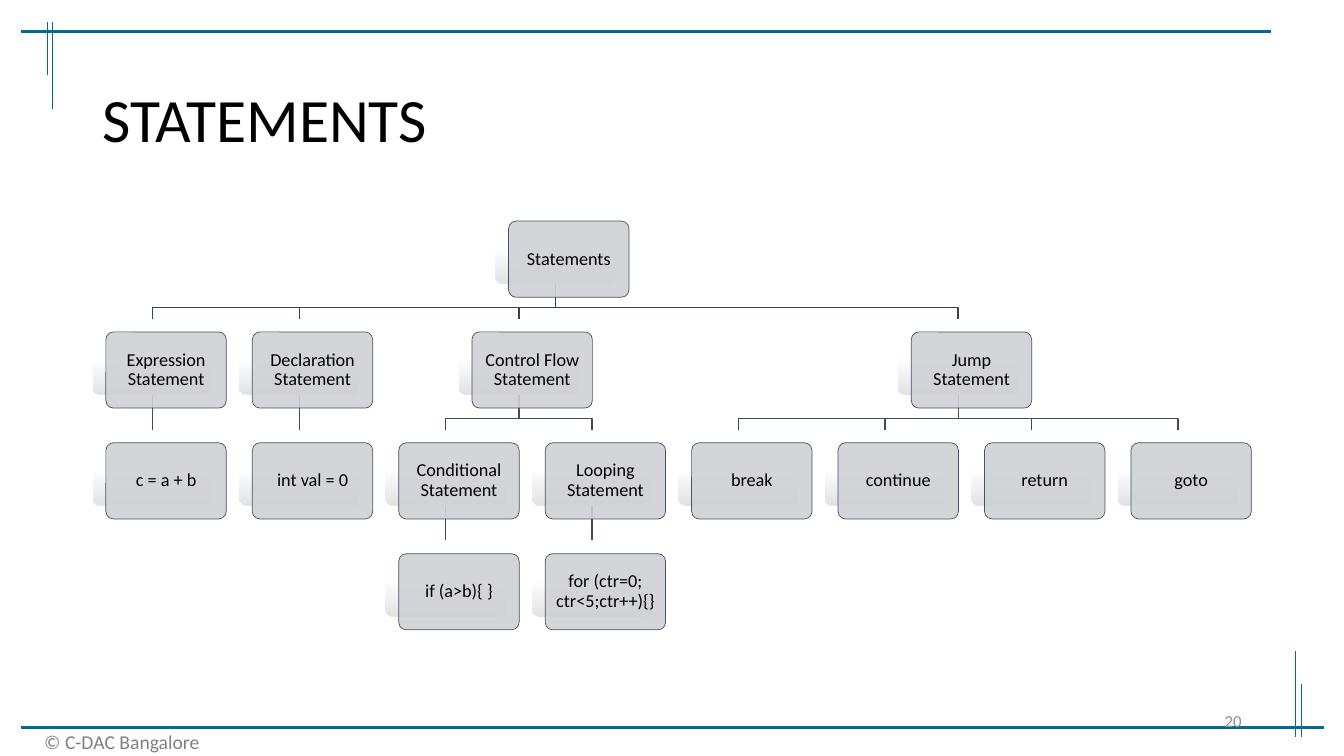
from dataclasses import dataclass, field

from lxml.etree import SubElement
from pptx import Presentation
from pptx.dml.color import RGBColor
from pptx.enum.shapes import MSO_CONNECTOR, MSO_SHAPE
from pptx.enum.text import MSO_ANCHOR, MSO_AUTO_SIZE, PP_ALIGN
from pptx.oxml.ns import qn
from pptx.util import Pt


@dataclass(frozen=True)
class Theme:
    font: str = "Calibri"
    rule: str = "03698F"
    branch: tuple = ("364355", "3E4C60", "3E4C60")  # by depth
    card: str = "CFD1D4"
    card_line: str = "44546A"
    white: str = "FFFFFF"
    shade: str = "E3E3E3"
    text: str = "000000"
    footer: str = "808080"
    number: str = "8C8C8C"
    title_size: int = 44
    footer_size: int = 14
    card_size: int = 13
    number_size: int = 12


@dataclass
class Node:
    label: str
    children: list = field(default_factory=list)
    x: float = 0
    y: float = 0
    depth: int = 0


THEME = Theme()
COLUMNS, COLUMN_PITCH, ROW_PITCH = 8, 104.6, 79.2
CARD_W, CARD_H, CARD_SHIFT = 86, 54.4, 9.5

STATEMENTS = Node("Statements", [
    Node("Expression Statement", [Node("c = a + b")]),
    Node("Declaration Statement", [Node("int val = 0")]),
    Node("Control Flow Statement", [
        Node("Conditional Statement", [Node("if (a>b){ }")]),
        Node("Looping Statement", [Node("for (ctr=0; ctr<5;ctr++){}")]),
    ]),
    Node("Jump Statement", [Node(word) for word in ("break", "continue", "return", "goto")]),
])


def rgb(color):
    return RGBColor.from_string(color)


def write(tf, text, size, color, align):
    tf.text = text
    p = tf.paragraphs[0]
    p.alignment = align
    font = p.runs[0].font
    font.name, font.size, font.color.rgb = THEME.font, Pt(size), rgb(color)
    return p


def add_line(slide, x1, y1, x2, y2, color, width):
    line = slide.shapes.add_connector(MSO_CONNECTOR.STRAIGHT, Pt(x1), Pt(y1), Pt(x2), Pt(y2))
    line.line.color.rgb = rgb(color)
    line.line.width = Pt(width)
    SubElement(line._element.spPr, qn("a:effectLst"))
    return line


def add_frame(slide, width, height):
    """Draw the long rules and the corner strokes along the slide's edges."""
    top, bottom = 22.3, height - 20.2
    add_line(slide, 15, top, width - 52, top, THEME.rule, 2.25)
    add_line(slide, 15, bottom, width - 14.6, bottom, THEME.rule, 2.25)
    for x, length in ((37.4, 62), (33.8, 38)):
        add_line(slide, x, 15.8 + length, x, 15.8, THEME.rule, 0.75)
    for x, length in ((width - 34.8, 61.2), (width - 30.4, 37.4)):
        add_line(slide, x, height - 13.7, x, height - 13.7 - length, THEME.rule, 0.75)


def add_title(slide, text, x, y, w, h):
    title = slide.shapes.title
    title.left, title.top, title.width, title.height = Pt(x), Pt(y), Pt(w), Pt(h)
    tf = title.text_frame
    tf.auto_size = MSO_AUTO_SIZE.NONE
    tf.vertical_anchor = MSO_ANCHOR.MIDDLE
    write(tf, text, THEME.title_size, THEME.text, PP_ALIGN.LEFT).line_spacing = 0.9


def add_label(slide, text, x, y, w, h, size, color, align, wrap):
    tf = slide.shapes.add_textbox(Pt(x), Pt(y), Pt(w), Pt(h)).text_frame
    tf.word_wrap = wrap
    tf.vertical_anchor = MSO_ANCHOR.MIDDLE
    write(tf, text, size, color, align)


def place(node, x, y, column=0, depth=0):
    """Set positions below a node, a parent centred on its children; return the next free column."""
    node.y, node.depth = y + depth * ROW_PITCH, depth
    if not node.children:
        node.x = x + column * COLUMN_PITCH
        return column + 1
    for child in node.children:
        column = place(child, x, y, column, depth + 1)
    node.x = (node.children[0].x + node.children[-1].x) / 2
    return column


def walk(node):
    yield node
    for child in node.children:
        yield from walk(child)


def add_round_rect(slide, x, y):
    sp = slide.shapes.add_shape(MSO_SHAPE.ROUNDED_RECTANGLE, Pt(x), Pt(y), Pt(CARD_W), Pt(CARD_H))
    sp.adjustments[0] = 0.1
    sp.shadow.inherit = False
    return sp


def add_back_card(slide, node):
    sp = add_round_rect(slide, node.x, node.y)
    sp.fill.gradient()
    sp.fill.gradient_angle = 270
    for stop, position, color in zip(sp.fill.gradient_stops, (0.5, 1), (THEME.white, THEME.shade)):
        stop.position = position
        stop.color.rgb = rgb(color)
    sp.line.fill.background()
    return sp


def add_front_card(slide, node):
    sp = add_round_rect(slide, node.x + CARD_SHIFT, node.y + CARD_SHIFT)
    sp.fill.solid()
    sp.fill.fore_color.rgb = rgb(THEME.card)
    color = sp._element.spPr.find(qn("a:solidFill")).find(qn("a:srgbClr"))
    SubElement(color, qn("a:alpha"), val="90000")
    sp.line.color.rgb = rgb(THEME.card_line)
    sp.line.width = Pt(0.5)
    tf = sp.text_frame
    tf.word_wrap = True
    tf.vertical_anchor = MSO_ANCHOR.MIDDLE
    tf.margin_left = tf.margin_right = tf.margin_top = tf.margin_bottom = Pt(3.6)
    write(tf, node.label, THEME.card_size, THEME.text, PP_ALIGN.CENTER).line_spacing = 0.9


def add_branch(slide, parent, child, parent_card, child_card):
    """Join two back cards, straight when they are aligned and with an elbow otherwise."""
    color = THEME.branch[parent.depth]
    x1, x2 = parent.x + CARD_W / 2, child.x + CARD_W / 2
    y1, y2 = parent.y + CARD_H, child.y
    if x1 == x2:
        line = add_line(slide, x1, y1, x2, y2, color, 1)
        line.begin_connect(parent_card, 2)
        line.end_connect(child_card, 0)
        return
    bend = y1 + (y2 - y1) * 0.68
    builder = slide.shapes.build_freeform(Pt(x1), Pt(y1))
    builder.add_line_segments([(Pt(x), Pt(y)) for x, y in ((x1, bend), (x2, bend), (x2, y2))],
                              close=False)
    elbow = builder.convert_to_shape()
    elbow.shadow.inherit = False
    elbow.fill.background()
    elbow.line.color.rgb = rgb(color)
    elbow.line.width = Pt(1)


def add_tree(slide, root, x, y, w):
    place(root, x + (w - (COLUMNS - 1) * COLUMN_PITCH - CARD_W - CARD_SHIFT) / 2, y)
    nodes = list(walk(root))
    cards = [add_back_card(slide, node) for node in nodes]
    for parent, parent_card in zip(nodes, cards):
        for child, child_card in zip(nodes, cards):
            if any(child is own for own in parent.children):
                add_branch(slide, parent, child, parent_card, child_card)
    for node in nodes:
        add_front_card(slide, node)


def main():
    width, height = 960, 540
    prs = Presentation()
    prs.slide_width, prs.slide_height = Pt(width), Pt(height)
    slide = prs.slides.add_slide(prs.slide_layouts[5])
    add_frame(slide, width, height)
    add_label(slide, "© C-DAC Bangalore", 24.5, 517.7, 131, 24.5,
              THEME.footer_size, THEME.footer, PP_ALIGN.LEFT, False)
    add_title(slide, "STATEMENTS", 66, 41.8, 828, 91.4)
    add_tree(slide, STATEMENTS, 66, 148.4, 828)
    add_label(slide, "20", 678, 500.4, 216, 28.8,
              THEME.number_size, THEME.number, PP_ALIGN.RIGHT, True)
    prs.save("out.pptx")


if __name__ == "__main__":
    main()
